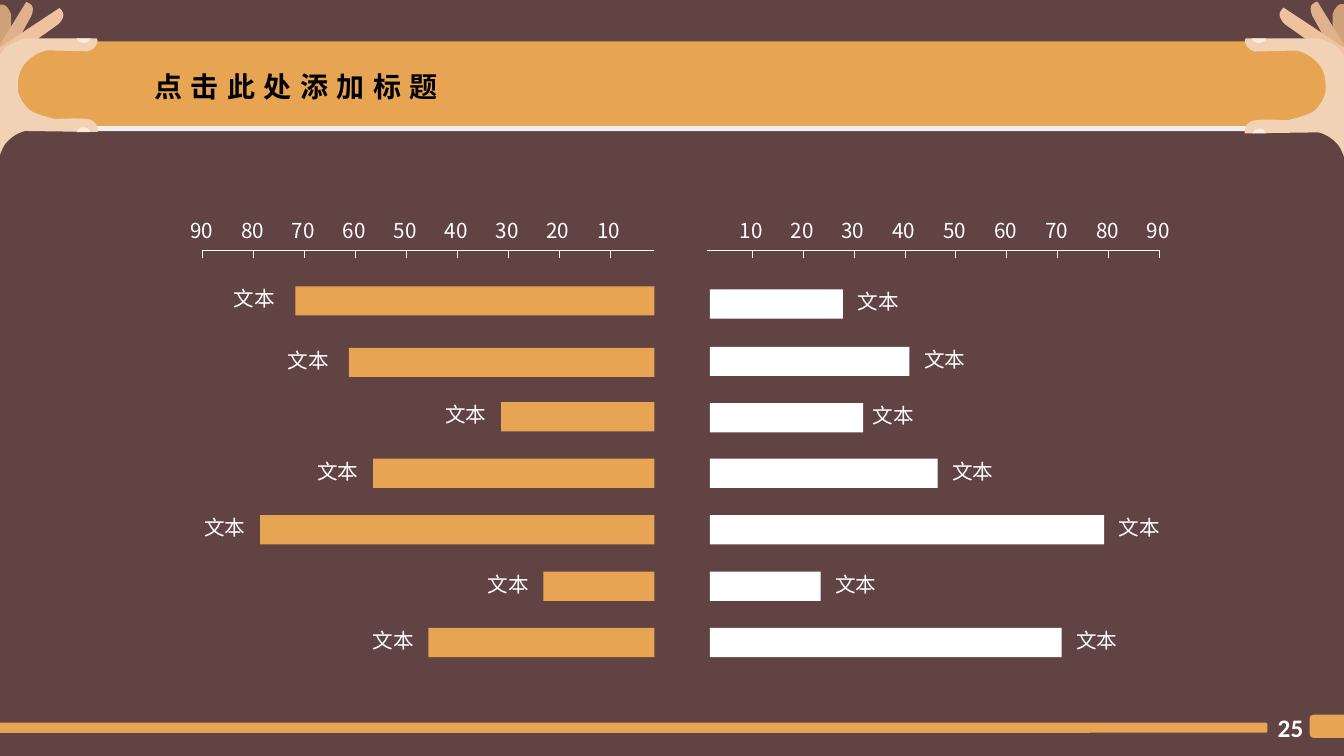
import pptx
import pptx.util
import pptx.enum.shapes
import pptx.enum.text
import pptx.dml.color
import pptx.oxml.ns
from dataclasses import dataclass
from lxml import etree

Inches = pptx.util.Inches
Kind = pptx.enum.shapes.MSO_SHAPE
Align = pptx.enum.text.PP_ALIGN
Anchor = pptx.enum.text.MSO_ANCHOR
qn = pptx.oxml.ns.qn


@dataclass(frozen=True)
class Theme:
    back: str = "2D0505"
    gold: str = "E7A553"
    white: str = "FFFFFF"
    black: str = "000000"
    sans: str = "Noto Sans CJK SC"
    digit: str = "Calibri"
    small: float = 14.7
    page: float = 18
    title: float = 20


T = Theme()
WIDE, HIGH = 13.33, 7.5

# Left hand: two numbers are a line, six are a curve
HAND = [
    ("CFA17B", [(-0.02, 0.75), (-0.02, 0.05), (0, 0.05, 0.06, 0.01, 0.11, 0.14),
                (0.12, 0.85)]),
    ("DFB28B", [(-0.11, 0.62), (0.26, 0.02), (0.28, 0.03, 0.36, 0.04, 0.31, 0.16),
                (-0.04, 0.79)]),
    ("EEC29D", [(-0.03, 0.49), (0.59, 0.08), (0.6, 0.09, 0.68, 0.14, 0.58, 0.24),
                (-0.04, 0.68)]),
    ("F1D2B5", [(-0.04, 0.69), (-0.02, 0.65, -0.03, 0.59, 0, 0.55),
                (0.03, 0.5, 0.05, 0.46, 0.1, 0.44), (0.14, 0.42, 0.17, 0.4, 0.25, 0.38),
                (0.96, 0.38), (0.98, 0.41, 0.96, 0.44, 0.94, 0.47),
                (0.92, 0.49, 0.9, 0.5, 0.87, 0.51), (0.47, 0.5),
                (0.36, 0.52, 0.27, 0.59, 0.22, 0.67), (0.17, 0.76, 0.18, 0.84, 0.18, 0.9),
                (0.19, 0.98, 0.25, 1.05, 0.29, 1.09), (0.37, 1.14, 0.47, 1.16, 0.54, 1.18),
                (0.65, 1.18, 0.74, 1.17, 0.85, 1.18), (0.91, 1.18, 0.94, 1.21, 0.96, 1.24),
                (0.97, 1.27, 0.97, 1.29, 0.97, 1.31), (0.25, 1.3),
                (0.16, 1.32, 0.09, 1.38, 0.05, 1.43), (0, 1.51, -0.01, 1.58, -0.04, 1.65)]),
    ("FBEBDE", [(0.76, 0.38), (0.76, 0.39, 0.78, 0.42, 0.8, 0.42),
                (0.82, 0.43, 0.85, 0.43, 0.87, 0.42), (0.88, 0.41, 0.9, 0.4, 0.9, 0.38)]),
    ("FBEBDE", [(0.89, 1.31), (0.9, 1.3, 0.87, 1.27, 0.86, 1.27),
                (0.84, 1.26, 0.81, 1.26, 0.79, 1.27), (0.78, 1.28, 0.76, 1.29, 0.76, 1.31)]),
]

# Bars: top, length, gap to label
LEFT = [(2.84, 3.56, 0.06), (3.45, 3.03, 0.05), (3.99, 1.52, 0), (4.55, 2.79, 0),
        (5.11, 3.91, 0), (5.67, 1.1, 0), (6.23, 2.24, 0)]
RIGHT = [(2.87, 1.32, 0), (3.44, 1.98, 0), (4, 1.52, -0.05), (4.55, 2.26, 0),
         (5.11, 3.91, 0), (5.67, 1.1, 0), (6.23, 3.49, 0)]


def rgb(hue):
    return pptx.dml.color.RGBColor.from_string(hue)


def paint(shape, hue, alpha=100):
    shape.shadow.inherit = False
    shape.fill.solid()
    shape.fill.fore_color.rgb = rgb(hue)
    shape.line.fill.background()
    if alpha < 100:
        tint = shape._element.spPr.find(qn("a:solidFill")).find(qn("a:srgbClr"))
        etree.SubElement(tint, qn("a:alpha")).set("val", str(alpha * 1000))


def block(slide, kind, box, hue, alpha=100):
    shape = slide.shapes.add_shape(kind, *map(Inches, box))
    paint(shape, hue, alpha)
    return shape


def style(para, face, size, hue, bold=False):
    font = para.font
    font.size, font.bold = pptx.util.Pt(size), bold
    font.color.rgb = rgb(hue)
    font.name = face
    # East Asian face follows the Latin one
    props = para._p.pPr.find(qn("a:defRPr"))
    etree.SubElement(props, qn("a:ea")).set("typeface", face)
    return props


def label(slide, box, text, face=T.sans, size=T.small, bold=False, wrap=True):
    frame = slide.shapes.add_textbox(*map(Inches, box)).text_frame
    frame.word_wrap = wrap
    para = frame.paragraphs[0]
    para.text, para.alignment = text, Align.CENTER
    style(para, face, size, T.white, bold)


def rule(slide, *ends):
    line = slide.shapes.add_connector(pptx.enum.shapes.MSO_CONNECTOR.STRAIGHT,
                                      *map(Inches, ends))
    line.line.color.rgb = rgb(T.white)
    line.line.width = pptx.util.Pt(0.5)
    etree.SubElement(line._element.spPr, qn("a:effectLst"))


def outline(slide, steps, hue):
    """Draw a closed shape, then bend the sides that are curves."""
    ends = [step[-1] for step in steps]
    form = slide.shapes.build_freeform(*ends[0])
    form.add_line_segments(ends[1:], close=True)
    shape = form.convert_to_shape()
    paint(shape, hue)
    left, top = (min(axis) for axis in zip(*ends))
    sides = list(shape._element.iter(qn("a:lnTo")))
    for side, step in zip(sides, steps[1:]):
        if len(step) == 3:
            bend = etree.Element(qn("a:cubicBezTo"))
            for x, y in step:
                knot = etree.SubElement(bend, qn("a:pt"))
                knot.set("x", str(x - left))
                knot.set("y", str(y - top))
            side.getparent().replace(side, bend)


def hand(slide, edge, top, way, grow):
    """Draw a hand inward from a slide edge; way is 1 or -1."""
    for hue, steps in HAND:
        outline(slide, [[(int(Inches(edge + way * x * grow)),
                          int(Inches(top + (y - top) * grow)))
                         for x, y in zip(step[::2], step[1::2])] for step in steps], hue)


def header(slide, box):
    left, top, wide, high = box
    # Banner on its plate
    for x, y, hue, alpha in ((0.17, 0.05, T.white, 90), (0, 0, T.gold, 100)):
        band = block(slide, Kind.ROUNDED_RECTANGLE, (left + x, top + y, wide, high),
                     hue, alpha)
        band.adjustments[0] = 0.5
    # Hands at both ends
    hand(slide, 0, 0.38, 1, 1)
    hand(slide, WIDE, 0.38, -1, 1.015)
    # Title, moved in front
    title = slide.shapes.title
    title.left, title.top = Inches(left + 1.3), Inches(top + 0.23)
    title.width, title.height = Inches(3.54), Inches(0.44)
    slide.shapes._spTree.append(title._element)
    frame = title.text_frame
    frame.auto_size = pptx.enum.text.MSO_AUTO_SIZE.NONE
    frame.vertical_anchor = Anchor.MIDDLE
    para = frame.paragraphs[0]
    para.text, para.alignment = "点击此处添加标题", Align.LEFT
    style(para, T.sans, T.title, T.black, True).set("spc", "600")


def half(slide, box, rows, way, inset, hue):
    """Draw one half of the chart; way is the direction the bars grow."""
    left, top, wide, high = box
    right, axis = left + wide, top + 0.37
    base, end = (left, right) if way > 0 else (right, left)
    # Axis with ticks every ten
    rule(slide, left, axis, right, axis)
    for i in range(1, 10):
        x = end - way * (9 - i) * 4.04 / 8
        rule(slide, x, axis, x, axis + 0.08)
        label(slide, (x - 0.23, top, 0.44, 0.35), str(i * 10), wrap=False)
    # Bars with labels
    base += way * inset
    for y, size, gap in rows:
        tip = base + way * size
        block(slide, Kind.RECTANGLE, (min(base, tip), y, size, 0.29), hue)
        x = tip + way * gap
        label(slide, (min(x, x + way * 0.7), y - 0.05, 0.7, 0.35), "文本")


def footer(slide, box):
    left, top, wide, high = box
    block(slide, Kind.ROUNDED_RECTANGLE, (left, top + 0.08, 12.69, 0.1), T.gold)
    block(slide, Kind.ROUNDED_RECTANGLE, (left + wide - 0.57, top, 0.57, high), T.gold)
    label(slide, (left + wide - 0.99, top - 0.07, 0.46, 0.4), "25",
          T.digit, T.page, True, False)


def main():
    deck = pptx.Presentation()
    deck.slide_width, deck.slide_height = Inches(WIDE), Inches(HIGH)
    slide = deck.slides.add_slide(deck.slide_layouts[5])
    block(slide, Kind.RECTANGLE, (0, 0, WIDE, HIGH), T.back, 75)
    header(slide, (0.13, 0.41, 13.2, 0.84))
    half(slide, (2.01, 2.11, 4.48, 4.41), LEFT, -1, 0, T.gold)
    half(slide, (7.01, 2.11, 4.49, 4.41), RIGHT, 1, 0.03, T.white)
    footer(slide, (-0.12, 7.09, 13.68, 0.23))
    deck.save("out.pptx")


if __name__ == "__main__":
    main()
